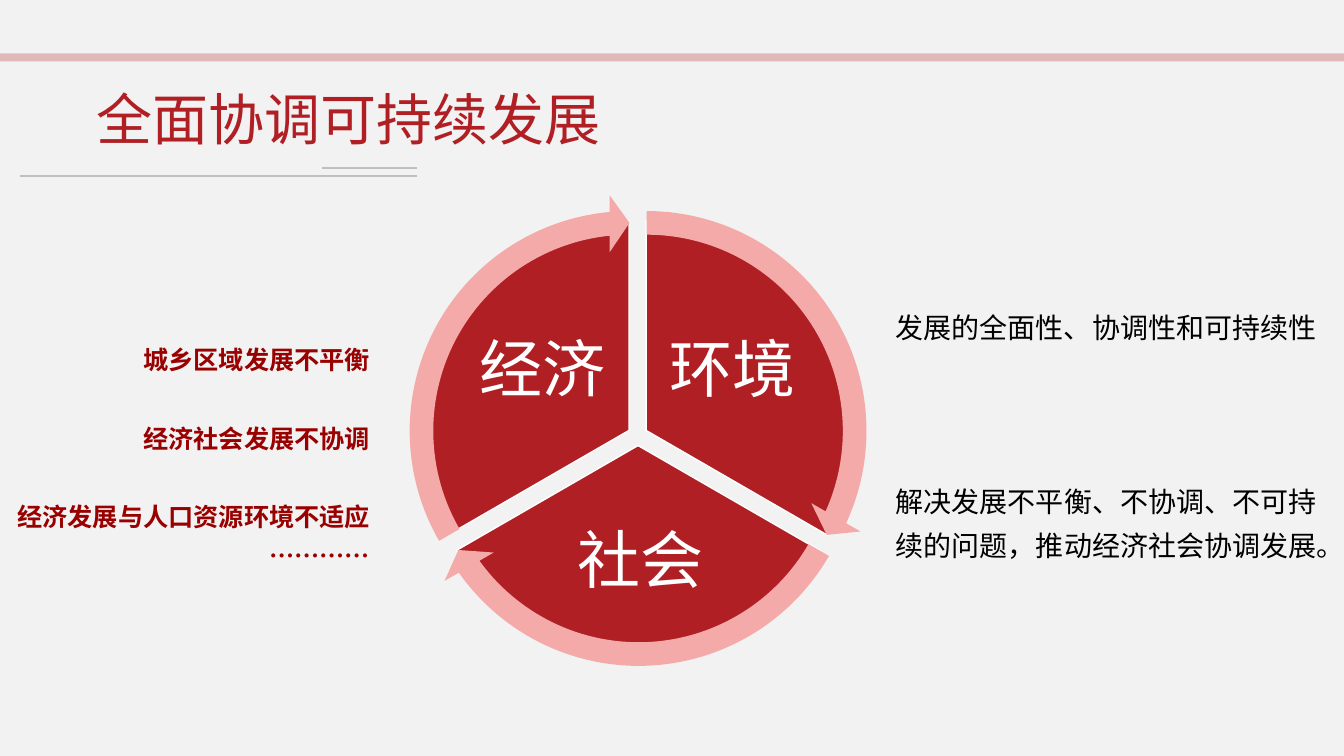
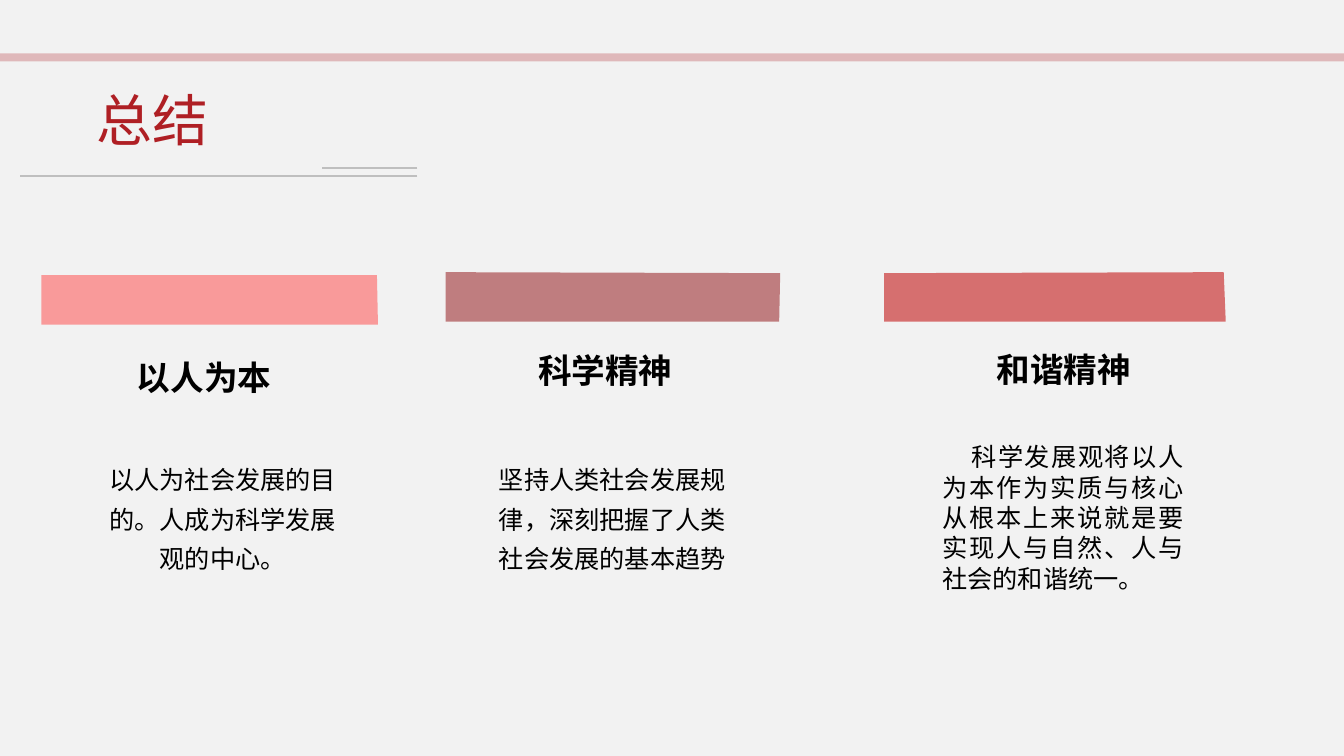
from math import cos, radians, sin, tan

from lxml import etree
from pptx import Presentation
from pptx.dml.color import RGBColor
from pptx.enum.shapes import MSO_CONNECTOR, MSO_SHAPE
from pptx.enum.text import MSO_ANCHOR, MSO_AUTO_SIZE, PP_ALIGN
from pptx.oxml.ns import qn
from pptx.util import Pt

PX = 9144  # 100 px to the inch
HIGH = 750 * PX
WIDE = HIGH * 16 // 9
FONT = "Noto Sans CJK SC"
RED = RGBColor(0xAF, 0x1F, 0x24)
PINK = RGBColor(0xF5, 0xAA, 0xAA)
CORAL = RGBColor(0xFF, 0x50, 0x50)
WINE = RGBColor(0x95, 0x1B, 0x1E)
BLOOD = RGBColor(0xC0, 0x00, 0x00)
DARK = RGBColor(0x99, 0x00, 0x00)
GRAY = RGBColor(0xBF, 0xBF, 0xBF)
PALE = RGBColor(0xF2, 0xF2, 0xF2)
WHITE = RGBColor(0xFF, 0xFF, 0xFF)
BLACK = RGBColor(0x00, 0x00, 0x00)
LEFT, MID, RIGHT, FULL = PP_ALIGN.LEFT, PP_ALIGN.CENTER, PP_ALIGN.RIGHT, PP_ALIGN.JUSTIFY
TOP, CENTER = MSO_ANCHOR.TOP, MSO_ANCHOR.MIDDLE
RECT, ARROW = MSO_SHAPE.RECTANGLE, MSO_SHAPE.CIRCULAR_ARROW
LINE, FIXED = MSO_CONNECTOR.STRAIGHT, MSO_AUTO_SIZE.NONE


def paint(shape, color, alpha=100):
    """Fill a shape, alpha in percent, without outline or shadow."""
    shape.shadow.inherit = False
    shape.fill.solid()
    shape.fill.fore_color.rgb = color
    shape.line.fill.background()
    if alpha < 100:
        tint = shape.fill._xPr.find(qn("a:solidFill"))[0]
        etree.SubElement(tint, qn("a:alpha")).set("val", str(alpha * 1000))


def write(shape, lines, size, color, align, lead, bold=False, anchor=TOP):
    """Set (text, points before) lines at a fixed line height of lead points."""
    frame = shape.text_frame
    frame.word_wrap = True
    frame.auto_size = FIXED
    frame.vertical_anchor = anchor
    frame.text = "\n".join(line for line, gap in lines)
    for para, (line, gap) in zip(frame.paragraphs, lines):
        para.alignment = align
        para.line_spacing = Pt(lead)
        para.space_before = Pt(gap)
        font = para.runs[0].font
        font.size, font.bold, font.name = Pt(size), bold, FONT
        font.color.rgb = color
        east = etree.SubElement(para.runs[0]._r.rPr, qn("a:ea"))
        east.set("typeface", FONT)


prs = Presentation()
prs.slide_width, prs.slide_height = WIDE, HIGH
back = prs.slide_master.background.fill
back.solid()
back.fore_color.rgb = PALE

# Shared frame: band, title and rules
slides = []
for name, top in (("全面协调可持续发展", 79), ("总结", 81)):
    slide = prs.slides.add_slide(prs.slide_layouts[5])
    slides.append(slide)
    band = slide.shapes.add_shape(RECT, 0, 53 * PX, WIDE, 8 * PX)
    paint(band, RED, 27)
    title = slide.shapes.title
    title.left, title.top = 86 * PX, top * PX
    title.width, title.height = 528 * PX, 77 * PX
    write(title, [(name, 0)], 40, RED, LEFT, 47.5)
    for start, y in ((20, 175), (319, 167)):
        rule = slide.shapes.add_connector(LINE, 414 * PX, y * PX, start * PX, y * PX)
        rule.line.color.rgb = GRAY
        rule.line.width = Pt(1.5)
        etree.SubElement(rule._element.spPr, qn("a:effectLst"))

# Slide 1: cycle of three sectors, each with its arrow
cycle, sums = [slide.shapes for slide in slides]
RADIUS, RING, REACH, BEND = 208, 469, 114.54, 60
PULL = 4 / 3 * tan(radians(BEND / 4))
sectors = (
    ("环境", 641, 427, -90, (18, 95, 64, 107)),
    ("社会", 633, 442, 30, (78, 69, 73, 43)),
    ("经济", 624, 427, 150, (64, 95, 18, 107)),
)
for word, x, y, start, inset in sectors:
    # Each bend needs two control points and its end point
    arc = []
    for turn in (start, start + BEND, start + 2 * BEND):
        c, s = cos(radians(turn)), sin(radians(turn))
        for pull in (-PULL, 0, PULL):
            arc.append(((x + RADIUS * (c - pull * s)) * PX,
                        (y + RADIUS * (s + pull * c)) * PX))
    build = cycle.build_freeform(*arc[1])
    build.add_line_segments(arc[2:8] + [(x * PX, y * PX)], close=True)
    sector = build.convert_to_shape()
    steps = list(sector._element.iter(qn("a:lnTo")))
    for first in (0, 3):
        curve = etree.Element(qn("a:cubicBezTo"))
        steps[first].addprevious(curve)
        for step in steps[first:first + 3]:
            curve.append(step[0])
            step.getparent().remove(step)
    paint(sector, RED)
    sector.line.color.rgb = WHITE
    sector.line.width = Pt(1)
    write(sector, [(word, 0)], 45, WHITE, MID, 47, anchor=CENTER)
    frame = sector.text_frame
    frame.margin_left, frame.margin_top, frame.margin_right, frame.margin_bottom = [
        side * PX for side in inset
    ]
for word, x, y, start, inset in sectors:
    half = RING // 2
    arrow = cycle.add_shape(ARROW, (x - half) * PX, (y - half) * PX, RING * PX, RING * PX)
    # Angles are stored as 0.6 per degree
    angles = [turn % 360 * 0.6 for turn in (start + REACH, start)]
    for spot, value in enumerate((0.05, 3.28, *angles, 0.06)):
        arrow.adjustments[spot] = value
    paint(arrow, PINK)

goals = cycle.add_textbox(875 * PX, 293 * PX, 441 * PX, 269 * PX)
write(goals, [
    ("发展的全面性、协调性和可持续性", 0),
    ("解决发展不平衡、不协调、不可持续的问题，推动经济社会协调发展。", 93),
], 20, BLACK, RIGHT, 31.3)
issues = cycle.add_textbox(0, 328 * PX, 377 * PX, 243 * PX)
write(issues, [
    ("城乡区域发展不平衡", 0),
    ("经济社会发展不协调", 28),
    ("经济发展与人口资源环境不适应", 28),
    ("…………", 0),
], 18, DARK, RIGHT, 28, True)

# Slide 2: three columns of bar, heading and text
columns = (
    (CORAL, [(41, 273), (374, 273), (375, 322), (41, 322)],
     "以人为本", (115, 350), (97, 447, 248, 125), MID, 28.2,
     "以人为社会发展的目的。人成为科学发展观的中心。"),
    (WINE, [(442, 270), (774, 271), (773, 319), (442, 319)],
     "科学精神", (513, 343), (478, 447, 259, 125), MID, 28.2,
     "坚持人类社会发展规律，深刻把握了人类社会发展的基本趋势"),
    (BLOOD, [(877, 271), (1214, 270), (1216, 319), (877, 319)],
     "和谐精神", (968, 342), (925, 433, 259, 192), FULL, 21.7,
     "科学发展观将以人为本作为实质与核心从根本上来说就是要实现人与自然、人与社会的和谐统一。"),
)
for color, points, head, (x, y), area, align, lead, body in columns:
    build = sums.build_freeform(*points[0], scale=PX)
    build.add_line_segments(points[1:], close=True)
    paint(build.convert_to_shape(), color, 54)
    label = sums.add_textbox(x * PX, y * PX, 175 * PX, 50 * PX)
    write(label, [(head, 0)], 24, BLACK, MID, 28.5, True)
    note = sums.add_textbox(*[side * PX for side in area])
    write(note, [(body, 0)], 18, BLACK, align, lead)
    if align == FULL:
        note.text_frame.paragraphs[0]._p.pPr.set("indent", str(29 * PX))

prs.save("out.pptx")
